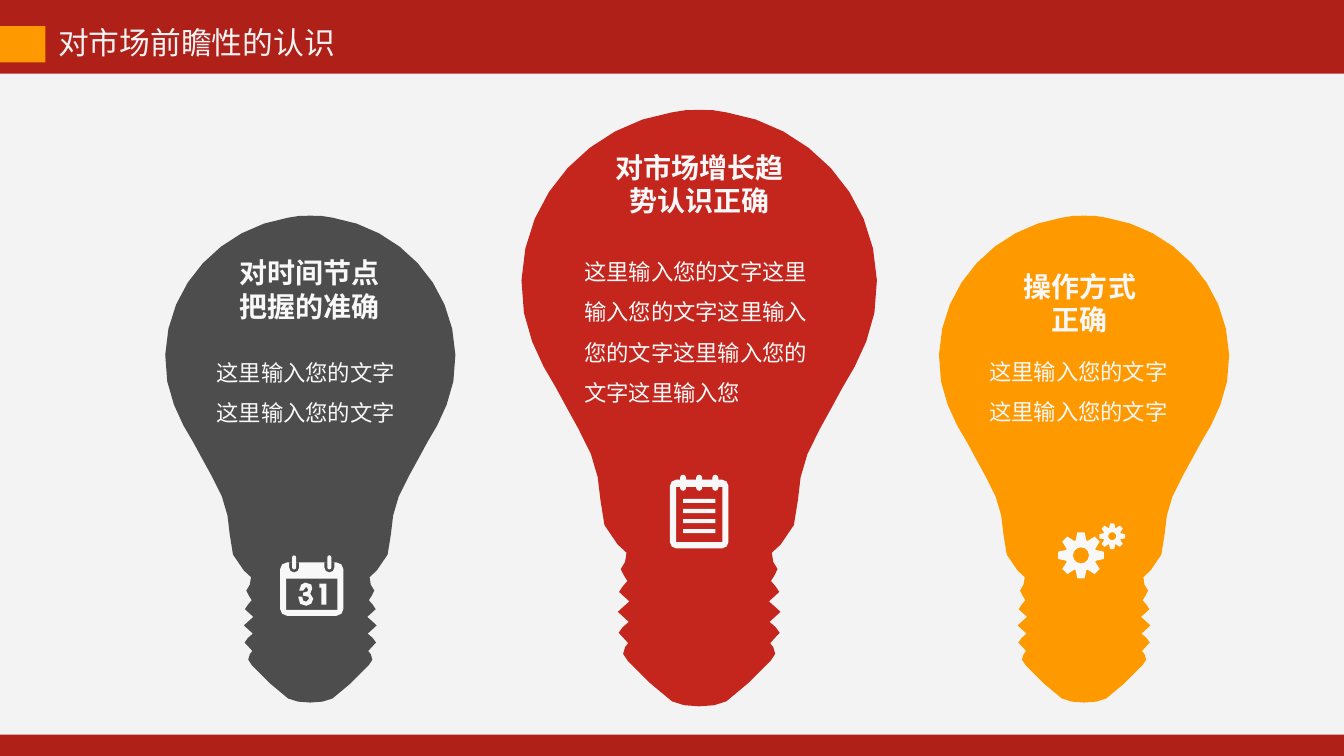
from math import cos, dist, pi, radians, sin

from lxml.etree import SubElement
from pptx import Presentation
from pptx.dml.color import RGBColor
from pptx.enum.shapes import MSO_SHAPE
from pptx.enum.text import MSO_AUTO_SIZE, PP_ALIGN
from pptx.oxml.ns import qn
from pptx.util import Inches, Pt

DARK_RED = RGBColor(0xAF, 0x20, 0x19)
RED = RGBColor(0xC4, 0x26, 0x1D)
ORANGE = RGBColor(0xFF, 0x99, 0x00)
GREY = RGBColor(0x4D, 0x4D, 0x4D)
PALE = RGBColor(0xF3, 0xF3, 0xF3)
WHITE = RGBColor(0xF8, 0xF8, 0xF8)

# Right half of a bulb, from its top centre down: two controls and an end per curve
BULB_CURVES = [
    (0.07, 0, 0.15, 0, 0.22, 0.02),
    (0.87, 0.12, 1.42, 0.67, 1.44, 1.38),
    (1.45, 1.66, 1.36, 1.89, 1.26, 2.08),
    (1.17, 2.22, 1.05, 2.46, 0.98, 2.58),
    (0.85, 2.8, 0.81, 2.97, 0.8, 3.16),
    (0.8, 3.31, 0.76, 3.43, 0.66, 3.52),
    (0.59, 3.56, 0.56, 3.61, 0.6, 3.66),
    (0.64, 3.7, 0.65, 3.74, 0.61, 3.77),
    (0.56, 3.8, 0.58, 3.83, 0.62, 3.86),
    (0.67, 3.89, 0.65, 3.92, 0.61, 3.94),
    (0.55, 3.96, 0.55, 4, 0.61, 4.02),
    (0.68, 4.05, 0.67, 4.08, 0.61, 4.11),
    (0.55, 4.13, 0.56, 4.16, 0.62, 4.19),
    (0.67, 4.22, 0.66, 4.25, 0.61, 4.28),
    (0.56, 4.31, 0.57, 4.33, 0.6, 4.35),
    (0.64, 4.38, 0.61, 4.43, 0.58, 4.46),
    (0.46, 4.59, 0.34, 4.7, 0.22, 4.79),
    (0.17, 4.82, 0.08, 4.83, 0, 4.83),
]
DIGIT_THREE = [
    (3.1, 5.84), (3.09, 5.8), (3.03, 5.78), (2.99, 5.8), (2.97, 5.86), (3.01, 5.86),
    (3.04, 5.82), (3.06, 5.85), (3.05, 5.87), (3.01, 5.88), (3.01, 5.91), (3.06, 5.92),
    (3.07, 5.94), (3.04, 5.97), (3.01, 5.96), (3, 5.92), (2.96, 5.92), (2.98, 5.99),
    (3.04, 6.01), (3.09, 5.99), (3.11, 5.94), (3.08, 5.89),
]
DIGIT_ONE = [(3.17, 5.79), (3.24, 5.79), (3.24, 6), (3.19, 6), (3.19, 5.83), (3.17, 5.83)]
# One gear tooth: degrees from its middle, share of the radius
TOOTH = [(-20, 0.68), (-9, 1), (9, 1), (20, 0.68)]


def trace_curves(start, curves):
    points = [start]
    for x1, y1, x2, y2, x3, y3 in curves:
        x0, y0 = points[-1]
        steps = max(2, round(4.5 * dist((x0, y0), (x3, y3))))
        for i in range(1, steps + 1):
            t = i / steps
            a, b, c, d = (1 - t) ** 3, 3 * t * (1 - t) ** 2, 3 * t * t * (1 - t), t ** 3
            points.append((a * x0 + b * x1 + c * x2 + d * x3,
                           a * y0 + b * y1 + c * y2 + d * y3))
    return points


def round_box(x, y, w, h, top=0, bottom=0, steps=2):
    corners = [(x + w - top, y + top, top, -90), (x + w - bottom, y + h - bottom, bottom, 0),
               (x + bottom, y + h - bottom, bottom, 90), (x + top, y + top, top, 180)]
    return [(cx + r * cos(a), cy + r * sin(a))
            for cx, cy, r, start in corners
            for a in (radians(start + 90 * i / steps) for i in range(steps + 1 if r else 1))]


def circle(cx, cy, r, steps=12):
    return [(cx + r * cos(2 * pi * i / steps), cy + r * sin(2 * pi * i / steps))
            for i in range(steps)]


class SlideBuilder:
    font = "Noto Sans CJK SC"

    def __init__(self, prs):
        self.s = prs.slides.add_slide(prs.slide_layouts[6])
        self.s.background.fill.solid()
        self.s.background.fill.fore_color.rgb = DARK_RED

    def paint(self, sp, color):
        sp.shadow.inherit = False
        sp.fill.solid()
        sp.fill.fore_color.rgb = color
        sp.line.fill.background()

    def rect(self, x, y, w, h, color):
        sp = self.s.shapes.add_shape(MSO_SHAPE.RECTANGLE, Inches(x), Inches(y),
                                     Inches(w), Inches(h))
        self.paint(sp, color)

    def outline(self, contours, color):
        builder = None
        for contour in contours:
            first, *rest = [(Inches(x), Inches(y)) for x, y in contour]
            if builder is None:
                builder = self.s.shapes.build_freeform(*first)
            else:
                builder.move_to(*first)
            builder.add_line_segments(rest, close=True)
        self.paint(builder.convert_to_shape(), color)

    def bulb(self, cx, top, scale, color):
        half = trace_curves((0, 0), BULB_CURVES)
        whole = half + [(-x, y) for x, y in half[-2:0:-1]]
        self.outline([[(cx + x * scale, top + y * scale) for x, y in whole]], color)

    def gear(self, cx, cy, r, hole):
        rim = [(cx + r * k * cos(radians(a + da)), cy + r * k * sin(radians(a + da)))
               for a in range(0, 360, 45) for da, k in TOOTH]
        self.outline([rim, circle(cx, cy, hole)], WHITE)

    def text(self, x, y, w, h, lines, size, color=WHITE, bold=False, wrap=False,
             align=PP_ALIGN.LEFT, spacing=None):
        tf = self.s.shapes.add_textbox(Inches(x), Inches(y), Inches(w), Inches(h)).text_frame
        tf.word_wrap = wrap
        tf.auto_size = MSO_AUTO_SIZE.SHAPE_TO_FIT_TEXT
        for i, line in enumerate(lines):
            p = tf.add_paragraph() if i else tf.paragraphs[0]
            p.alignment = align
            p.line_spacing = spacing
            r = p.add_run()
            r.text = line
            r.font.size, r.font.bold, r.font.name = Pt(size), bold, self.font
            r.font.color.rgb = color
            SubElement(r.font._element, qn("a:ea"), typeface=self.font)

    def heading(self, x, y, w, lines, align=PP_ALIGN.CENTER):
        self.text(x, y, w, 0.77, lines, 20, bold=True, align=align)

    def body(self, x, y, w, h, line):
        self.text(x, y, w, h, [line], 16, wrap=True, spacing=1.5)


def main():
    prs = Presentation()
    prs.slide_width, prs.slide_height = Inches(13.34), Inches(7.5)
    b = SlideBuilder(prs)

    # Page and title
    b.rect(0, 0.73, 13.34, 6.56, PALE)
    b.text(0.48, 0.19, 2.98, 0.47, ["对市场前瞻性的认识"], 22, PALE)
    b.rect(0, 0.26, 0.45, 0.36, ORANGE)

    # Bulbs
    b.bulb(3.08, 2.14, 1, GREY)
    b.bulb(6.94, 1.09, 1.225, RED)
    b.bulb(10.76, 2.14, 1, ORANGE)

    # Bulb texts
    phrase = "这里输入您的文字"
    b.heading(6, 1.44, 1.88, ["对市场增长趋", "势认识正确"])
    b.body(5.7, 2.38, 2.47, 1.72, phrase * 4 + "这里输入您")
    b.heading(2.28, 2.49, 1.6, ["对时间节点", "把握的准确"], PP_ALIGN.LEFT)
    b.body(2.05, 3.38, 2.06, 0.86, phrase * 2)
    b.heading(10.06, 2.62, 1.32, ["操作方式", "正确"])
    b.body(9.72, 3.37, 2.06, 0.86, phrase * 2)

    # Calendar: nested contours alternate between filled and open
    calendar = [round_box(2.78, 5.58, 0.63, 0.53, 0.07, 0.07),
                round_box(2.84, 5.74, 0.51, 0.31), DIGIT_THREE, DIGIT_ONE]
    for cx in (2.92, 3.27):
        calendar += [round_box(cx - 0.05, 5.58, 0.1, 0.1, 0, 0.05),
                     round_box(cx - 0.02, 5.51, 0.04, 0.14, 0.02, 0.02)]
    b.outline(calendar, WHITE)

    # Notepad
    notepad = [round_box(6.65, 4.76, 0.58, 0.68, 0.06, 0.06), round_box(6.71, 4.83, 0.46, 0.55)]
    for i in range(3):
        x = 6.75 + 0.16 * i
        notepad += [round_box(x, 4.71, 0.06, 0.05, top=0.03),
                    round_box(x, 4.83, 0.06, 0.04, bottom=0.03)]
    notepad += [round_box(6.78, 4.95 + 0.1 * i, 0.32, 0.04) for i in range(4)]
    b.outline(notepad, WHITE)

    # Gears
    b.gear(11.04, 5.32, 0.13, 0.04)
    b.gear(10.73, 5.51, 0.23, 0.08)

    prs.save("out.pptx")


if __name__ == "__main__":
    main()
